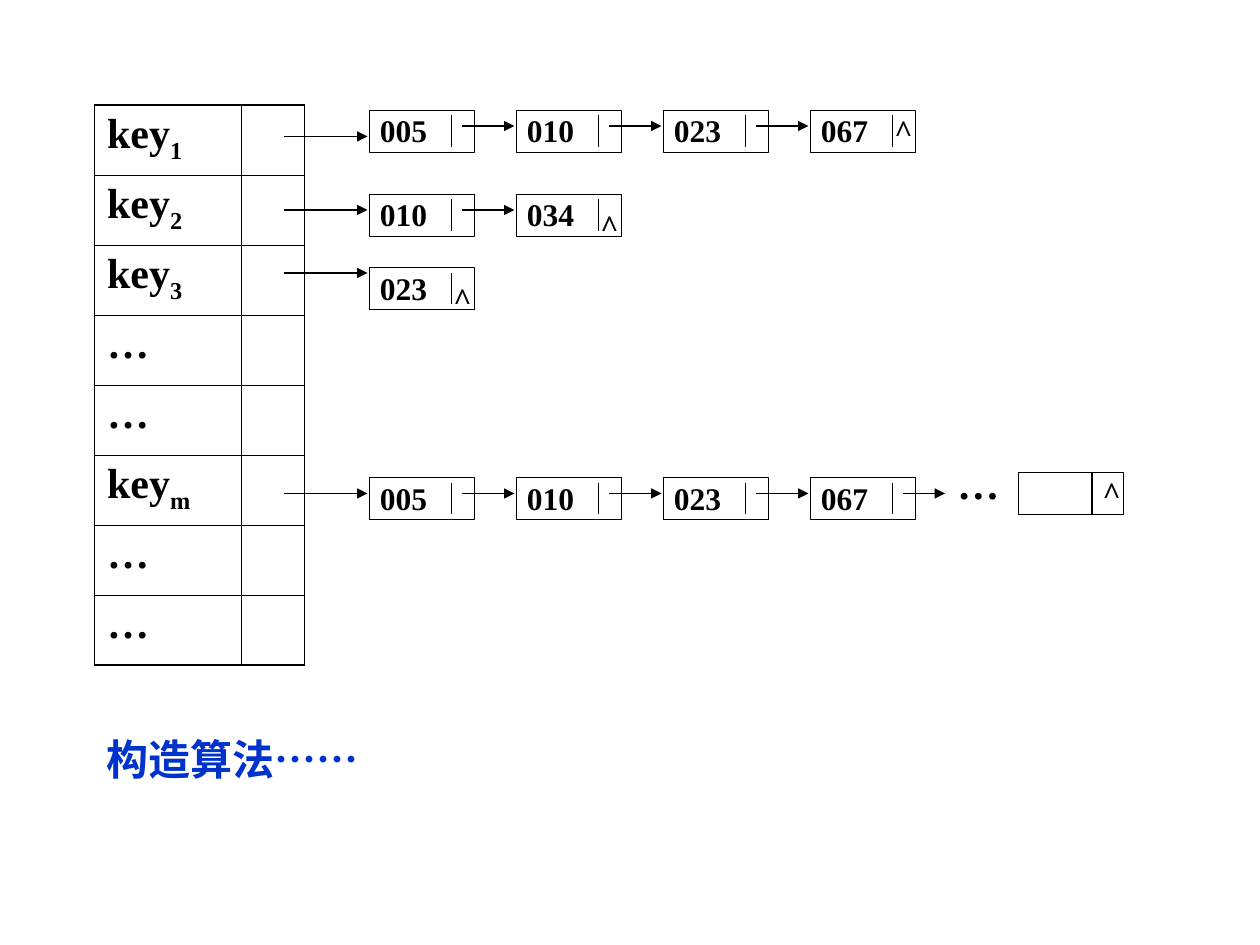
from lxml import etree
from pptx import Presentation
from pptx.dml.color import RGBColor
from pptx.enum.shapes import MSO_CONNECTOR, MSO_SHAPE
from pptx.oxml.ns import qn
from pptx.util import Pt

STRAIGHT = MSO_CONNECTOR.STRAIGHT
RECTANGLE = MSO_SHAPE.RECTANGLE
COLORS = {"ink": "000000", "note": "0033CC"}
FONT = "Times New Roman"

KEYS = [("key", "1"), ("key", "2"), ("key", "3"), ("…", ""),
        ("…", ""), ("key", "m"), ("…", ""), ("…", "")]
CHAINS = [
    {"top": 63, "entry": 78, "values": ["005", "010", "023", "067"], "nil": 60},
    {"top": 111, "entry": 120, "values": ["010", "034"], "nil": 114},
    {"top": 153, "entry": 156, "values": ["023"], "nil": 156},
    {"top": 273, "entry": 282, "values": ["005", "010", "023", "067"], "nil": None},
]
NOTE = "构造算法……"

TABLE_LEFT, TABLE_TOP = 54, 60
COLUMN_WIDTHS = (84, 36)
ROW_HEIGHT = 40
NODE_LEFT, NODE_WIDTH, NODE_HEIGHT, NODE_PITCH = 211, 60, 24, 84
LINK_DROP = 9


def format_run(run, size, color="ink"):
    run.font.name = FONT
    run.font.size = Pt(size)
    run.font.bold = True
    run.font.color.rgb = RGBColor.from_string(COLORS[color])


def add_label(text, left, top, width, height, size=18, color="ink", wrap=False):
    label = slide.shapes.add_textbox(Pt(left), Pt(top), Pt(width), Pt(height))
    label.text_frame.word_wrap = wrap
    label.text_frame.text = text
    format_run(label.text_frame.paragraphs[0].runs[0], size, color)


def add_line(x1, y1, x2, y2, arrow=False):
    line = slide.shapes.add_connector(STRAIGHT, Pt(x1), Pt(y1), Pt(x2), Pt(y2))
    line.line.color.rgb = RGBColor.from_string(COLORS["ink"])
    line.line.width = Pt(0.75)
    if arrow:
        etree.SubElement(line.line._get_or_add_ln(), qn("a:tailEnd"), type="triangle")
    etree.SubElement(line._element.spPr, qn("a:effectLst"))


def add_box(left, top):
    box = slide.shapes.add_shape(
        RECTANGLE, Pt(left), Pt(top), Pt(NODE_WIDTH), Pt(NODE_HEIGHT))
    box.shadow.inherit = False
    box.fill.background()
    box.line.color.rgb = RGBColor.from_string(COLORS["ink"])
    box.line.width = Pt(0.75)


def add_nil(left, top):
    add_label("^", left, top, 24.5, 28.8)


def set_borders(cell, row, column):
    outer = {"L": column == 0, "R": column == len(COLUMN_WIDTHS) - 1,
             "T": row == 0, "B": row == len(KEYS) - 1}
    properties = cell._tc.get_or_add_tcPr()
    for position, (side, is_outer) in enumerate(outer.items()):
        border = etree.Element(qn(f"a:ln{side}"), w=str(Pt(1.08 if is_outer else 0.45)))
        fill = etree.SubElement(border, qn("a:solidFill"))
        etree.SubElement(fill, qn("a:srgbClr"), val=COLORS["ink"])
        properties.insert(position, border)


def add_key_table():
    table = slide.shapes.add_table(
        len(KEYS), len(COLUMN_WIDTHS), Pt(TABLE_LEFT), Pt(TABLE_TOP),
        Pt(sum(COLUMN_WIDTHS)), Pt(ROW_HEIGHT * len(KEYS))).table
    table.first_row = table.horz_banding = False
    for column, width in zip(table.columns, COLUMN_WIDTHS):
        column.width = Pt(width)
    for row, (key, subscript) in enumerate(KEYS):
        table.rows[row].height = Pt(ROW_HEIGHT)
        for column in range(len(COLUMN_WIDTHS)):
            cell = table.cell(row, column)
            cell.fill.background()
            set_borders(cell, row, column)
        paragraph = table.cell(row, 0).text_frame.paragraphs[0]
        paragraph.space_before = Pt(6)
        for text in filter(None, (key, subscript)):
            run = paragraph.add_run()
            run.text = text
            format_run(run, 24)
            if text == subscript:
                run.font._element.set("baseline", "-25000")


def add_chain(top, entry, values, nil):
    add_line(162, entry, 210, entry, arrow=True)
    link_y = top + LINK_DROP
    for index, value in enumerate(values):
        left = NODE_LEFT + index * NODE_PITCH
        add_box(left, top)
        add_line(left + 47, top + 3, left + 47, top + 21)
        add_label(value, left - 1, top - 3, 42, 28.8)
        if index < len(values) - 1:
            add_line(left + 53, link_y, left + 83, link_y, arrow=True)
    if nil is not None:
        add_nil(left + 41, nil)
    else:
        add_line(left + 53, link_y, left + 77, link_y, arrow=True)


def add_chain_end():
    left, top = 582, 270
    add_label("…", 540, 258, 38.4, 36, size=24)
    add_box(left, top)
    add_line(left + 42, top, left + 42, top + NODE_HEIGHT)
    add_nil(left + 41, top - 3)


presentation = Presentation()
presentation.slide_width = Pt(720)
presentation.slide_height = Pt(540)
slide = presentation.slides.add_slide(presentation.slide_layouts[6])

add_key_table()
for chain in CHAINS:
    add_chain(**chain)
add_chain_end()
add_label(NOTE, 54, 415.5, 176, 36, size=24, color="note", wrap=True)

presentation.save("out.pptx")
